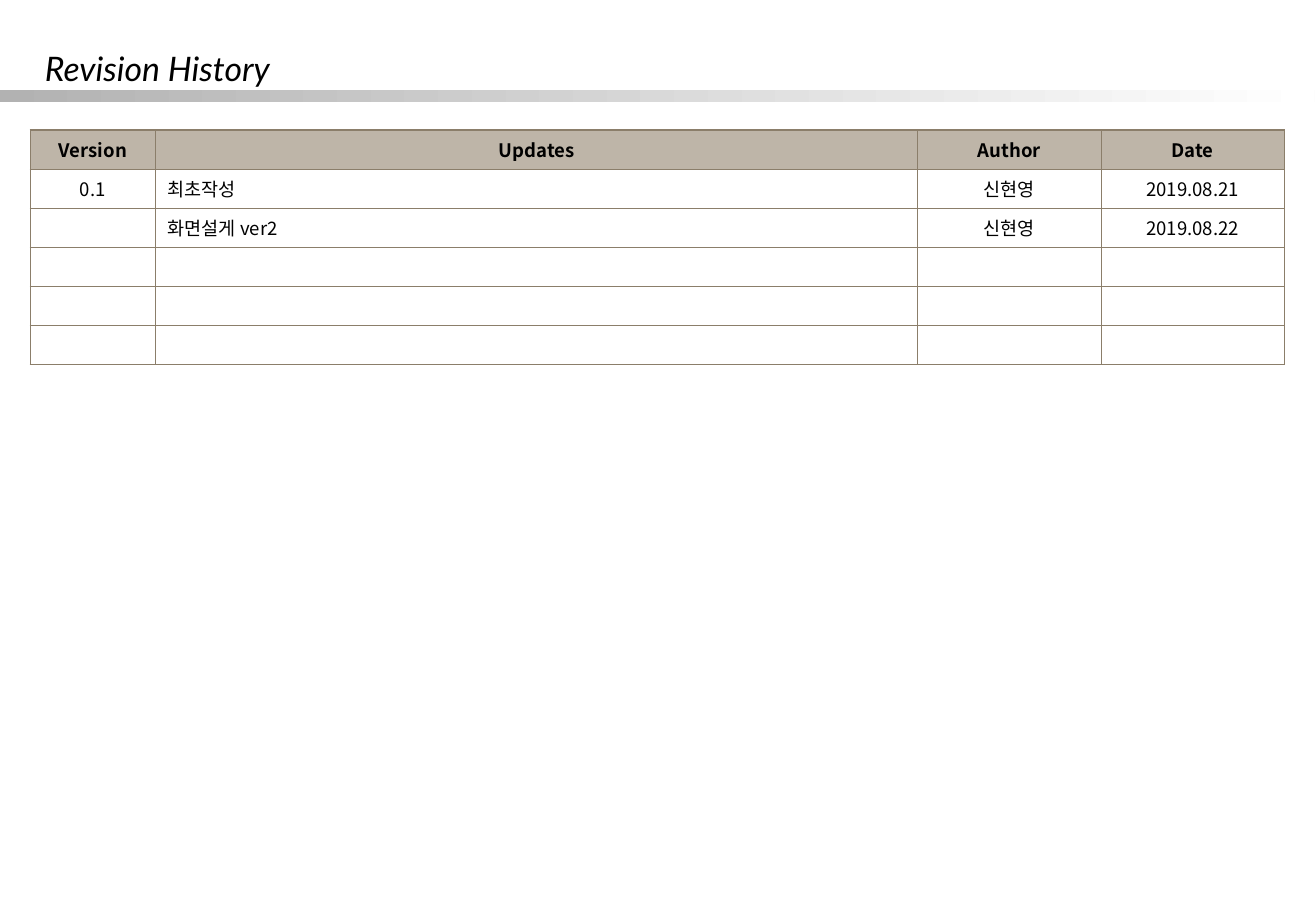
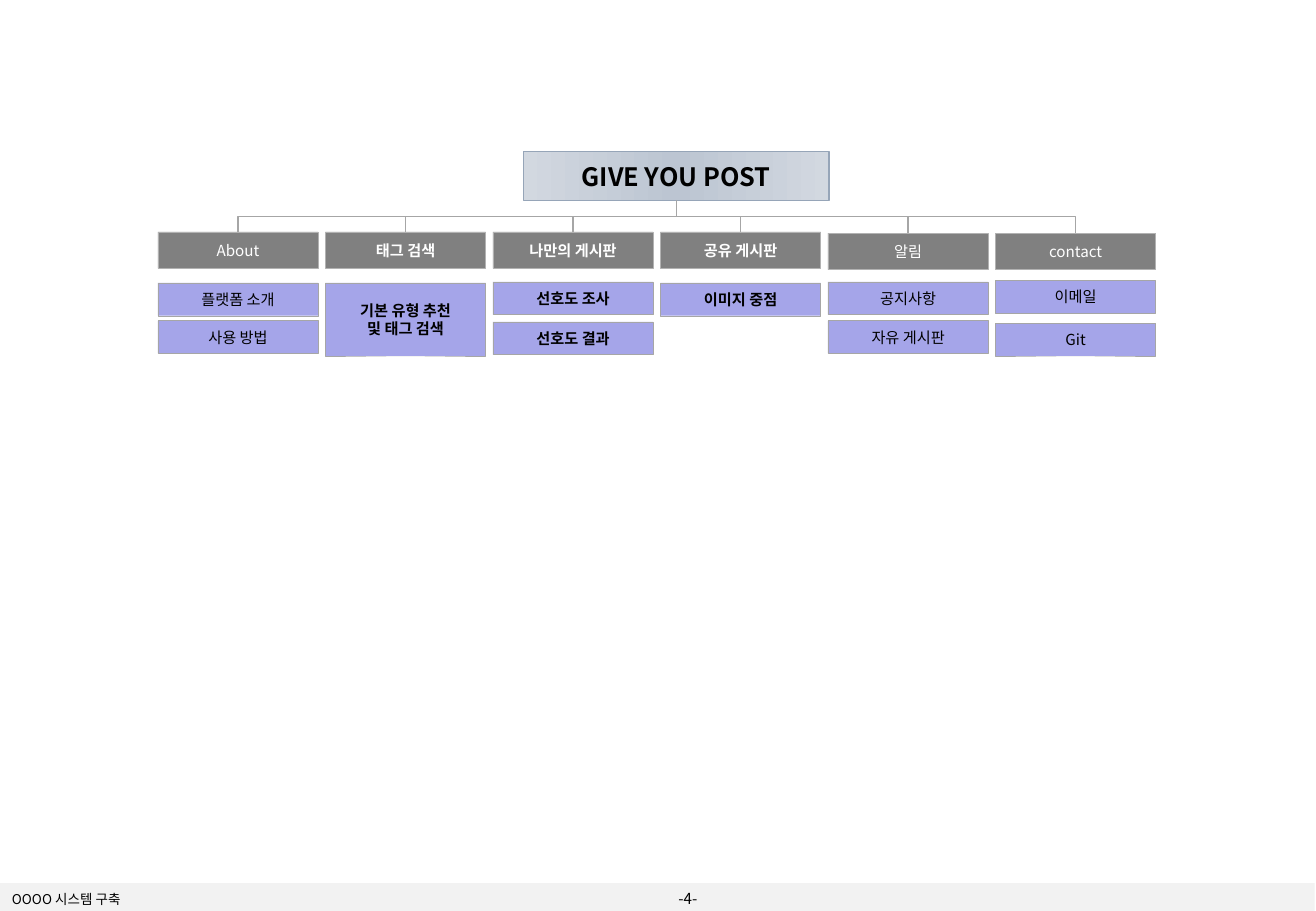
from dataclasses import dataclass

from lxml import etree
from pptx import Presentation
from pptx import util as u
from pptx.dml import color
from pptx.enum import shapes, text
from pptx.oxml import ns

UNIT = u.Inches(0.01)


@dataclass(frozen=True)
class Theme:
    latin: str = "Lato"
    korean: str = "Noto Sans CJK KR"
    black: str = "000000"
    white: str = "FFFFFF"
    border: str = "8B7E6A"
    header: str = "BEB5A8"
    footer: str = "F2F2F2"
    head: str = "808080"
    head_line: str = "B2B2B2"
    leaf: str = "A5A5E9"
    link: str = "A6A6A6"
    root_line: str = "96A5B8"
    band: tuple = ((0, "B2B2B2"), (100, "FFFFFF"))
    root: tuple = ((0, "D2D8E0"), (50, "BCC5D2"), (100, "D2D8E0"))
    title_size: float = 20
    root_size: float = 15
    table_size: float = 11
    body_size: float = 9
    small_size: float = 8
    outer_width: float = 1.08
    inner_width: float = 0.45


@dataclass(frozen=True)
class Box:
    left: float
    top: float
    width: float
    height: float

    def inside(self, column, row, width, height):
        return Box(self.left + column, self.top + row, width, height)

    def emu(self):
        return [round(n * UNIT) for n in (self.left, self.top, self.width, self.height)]


THEME = Theme()
SLIDE = Box(0, 0, 1084, 750)
LEFT, CENTER = text.PP_ALIGN.LEFT, text.PP_ALIGN.CENTER

COLUMN_WIDTHS = (103, 628, 151, 151)
REVISIONS = (
    ("Version", "Updates", "Author", "Date"),
    ("0.1", "최초작성", "신현영", "2019.08.21"),
    ("", "화면설게 ver2", "신현영", "2019.08.22"),
    ("",) * 4,
    ("",) * 4,
    ("",) * 4,
)

LEAF_HEIGHT = 27
MENUS = (
    ("About", False, 66, (("플랫폼 소개", 108, LEAF_HEIGHT), ("사용 방법", 139, LEAF_HEIGHT))),
    ("태그 검색", True, 66, (("기본 유형 추천\n및 태그 검색", 108, 60),)),
    ("나만의 게시판", True, 66, (("선호도 조사", 107, LEAF_HEIGHT), ("선호도 결과", 140, LEAF_HEIGHT))),
    ("공유 게시판", True, 66, (("이미지 중점", 108, LEAF_HEIGHT),)),
    ("알림", False, 67, (("공지사항", 107, LEAF_HEIGHT), ("자유 게시판", 139, LEAF_HEIGHT))),
    ("contact", False, 67, (("이메일", 106, LEAF_HEIGHT), ("Git", 141, LEAF_HEIGHT))),
)


def rgb(value):
    return color.RGBColor.from_string(value)


def write(frame, words, size, ink=THEME.black, face=THEME.korean,
          bold=False, italic=False, align=LEFT):
    frame.text = words
    for para in frame.paragraphs:
        para.alignment = align
        font = para.font
        font.size, font.name = u.Pt(size), face
        font.bold, font.italic = bold, italic
        font.color.rgb = rgb(ink)
        defaults = para._p.get_or_add_pPr().find(ns.qn("a:defRPr"))
        etree.SubElement(defaults, ns.qn("a:ea")).set("typeface", face)
        if not words:
            para._p.get_or_add_endParaRPr().set("sz", str(size * 100))


def set_margins(frame, side, edge):
    frame.margin_left = frame.margin_right = round(side * UNIT)
    frame.margin_top = frame.margin_bottom = round(edge * UNIT)
    frame.vertical_anchor = text.MSO_ANCHOR.MIDDLE
    frame.word_wrap = True


def add_rectangle(page, box, fill, line=None, line_width=0.25):
    shape = page.shapes.add_shape(shapes.MSO_SHAPE.RECTANGLE, *box.emu())
    shape.shadow.inherit = False
    if isinstance(fill, str):
        shape.fill.solid()
        shape.fill.fore_color.rgb = rgb(fill)
    if line:
        shape.line.color.rgb = rgb(line)
        shape.line.width = u.Pt(line_width)
    else:
        shape.line.fill.background()
    if not isinstance(fill, str):
        set_gradient(shape, fill)
    return shape


def set_gradient(shape, stops):
    shape.fill.gradient()
    shape.fill.gradient_angle = 0
    stop_list = shape._element.spPr.find(".//" + ns.qn("a:gsLst"))
    for old in list(stop_list):
        stop_list.remove(old)
    for position, value in stops:
        stop = etree.SubElement(stop_list, ns.qn("a:gs"), pos=str(position * 1000))
        etree.SubElement(stop, ns.qn("a:srgbClr"), val=value)


def add_label(page, box, words, size):
    label = page.shapes.add_textbox(*box.emu())
    set_margins(label.text_frame, 10, 0)
    write(label.text_frame, words, size)


def add_title(page, box, words):
    title = page.shapes.title
    title.left, title.top, title.width, title.height = box.emu()
    frame = title.text_frame
    set_margins(frame, 10, 5)
    frame.auto_size = text.MSO_AUTO_SIZE.NONE
    write(frame, words, THEME.title_size, face=THEME.latin, italic=True)
    add_rectangle(page, SLIDE.inside(0, 74, 1083, 10), THEME.band)


def add_footer(page, box, words, number):
    add_rectangle(page, box, THEME.footer)
    add_label(page, box.inside(550, 2, 47, 21), number, THEME.body_size)
    add_label(page, box.inside(1, 3, 488, 21), words, THEME.small_size)


def set_borders(cell, outer_sides):
    properties = cell._tc.get_or_add_tcPr()
    for side in "LRTB":
        points = THEME.outer_width if side in outer_sides else THEME.inner_width
        line = etree.SubElement(properties, ns.qn("a:ln" + side), w=str(int(u.Pt(points))))
        fill = etree.SubElement(line, ns.qn("a:solidFill"))
        etree.SubElement(fill, ns.qn("a:srgbClr"), val=THEME.border)


def add_revision_table(page, box):
    last_row, last_column = len(REVISIONS) - 1, len(COLUMN_WIDTHS) - 1
    table = page.shapes.add_table(last_row + 1, last_column + 1, *box.emu()).table
    table.horz_banding = table.first_row = False
    for column, width in zip(table.columns, COLUMN_WIDTHS):
        column.width = width * UNIT
    for r, values in enumerate(REVISIONS):
        for c, words in enumerate(values):
            cell = table.cell(r, c)
            edges = (("L", c == 0), ("R", c == last_column), ("T", r == 0), ("B", r == last_row))
            set_borders(cell, [side for side, outer in edges if outer])
            cell.vertical_anchor = text.MSO_ANCHOR.MIDDLE
            if r == 0:
                cell.fill.solid()
                cell.fill.fore_color.rgb = rgb(THEME.header)
            else:
                cell.fill.background()
            write(cell.text_frame, words, THEME.table_size, bold=r == 0,
                  align=LEFT if r and c == 1 else CENTER)


def add_node(page, box, words, fill, line, size, ink=THEME.black,
             bold=False, line_width=0.25):
    node = add_rectangle(page, box, fill, line, line_width)
    set_margins(node.text_frame, 4, 4)
    write(node.text_frame, words, size, ink, bold=bold, align=CENTER)
    return node


def join_nodes(page, root, head):
    start_x, start_y = root.left + root.width // 2, root.top + root.height
    end_x, end_y = head.left + head.width // 2, head.top
    link = page.shapes.add_connector(shapes.MSO_CONNECTOR.ELBOW, start_x, start_y, end_x, end_y)
    link.begin_connect(root, 2)
    link.end_connect(head, 0)
    drop, reach = end_y - start_y, abs(end_x - start_x)
    link.left = (start_x + end_x - drop) // 2
    link.top = (start_y + end_y - reach) // 2
    link.width, link.height = drop, reach
    frame = link._element.spPr.find(ns.qn("a:xfrm"))
    for flip in ("flipH", "flipV"):
        frame.attrib.pop(flip, None)
    frame.set("rot", str((270 if end_x > start_x else 90) * 60000))
    if end_x > start_x:
        frame.set("flipH", "1")
    link.line.color.rgb = rgb(THEME.link)
    link.line.width = u.Pt(0.75)
    etree.SubElement(link._element.spPr, ns.qn("a:effectLst"))


def add_site_tree(page, box):
    pitch, width = 138, 132
    root = add_node(page, box.inside(301, 0, 252, 40), "GIVE YOU POST", THEME.root,
                    THEME.root_line, THEME.root_size, bold=True, line_width=0.75)
    for index, (name, bold, head_row, leaves) in enumerate(MENUS):
        column = index * pitch
        head = add_node(page, box.inside(column, head_row, width, 30), name, THEME.head,
                        THEME.head_line, THEME.body_size, THEME.white, bold)
        for words, row, height in leaves:
            add_node(page, box.inside(column, row, width, height), words, THEME.leaf,
                     THEME.link, THEME.body_size, bold=bold)
        join_nodes(page, root, head)


def build_revision_page(deck):
    page = deck.slides.add_slide(deck.slide_layouts[5])
    add_title(page, SLIDE.inside(27, 36, 975, 40), "Revision History")
    add_revision_table(page, SLIDE.inside(25, 107, sum(COLUMN_WIDTHS), 191))


def build_site_page(deck):
    page = deck.slides.add_slide(deck.slide_layouts[6])
    add_footer(page, SLIDE.inside(-1, 727, 1084, 24), "OOOO 시스템 구축", "-4-")
    add_site_tree(page, SLIDE.inside(130, 125, 822, 168))


def main():
    deck = Presentation()
    deck.slide_width, deck.slide_height = SLIDE.emu()[2:]
    build_revision_page(deck)
    build_site_page(deck)
    deck.save("out.pptx")


if __name__ == "__main__":
    main()
